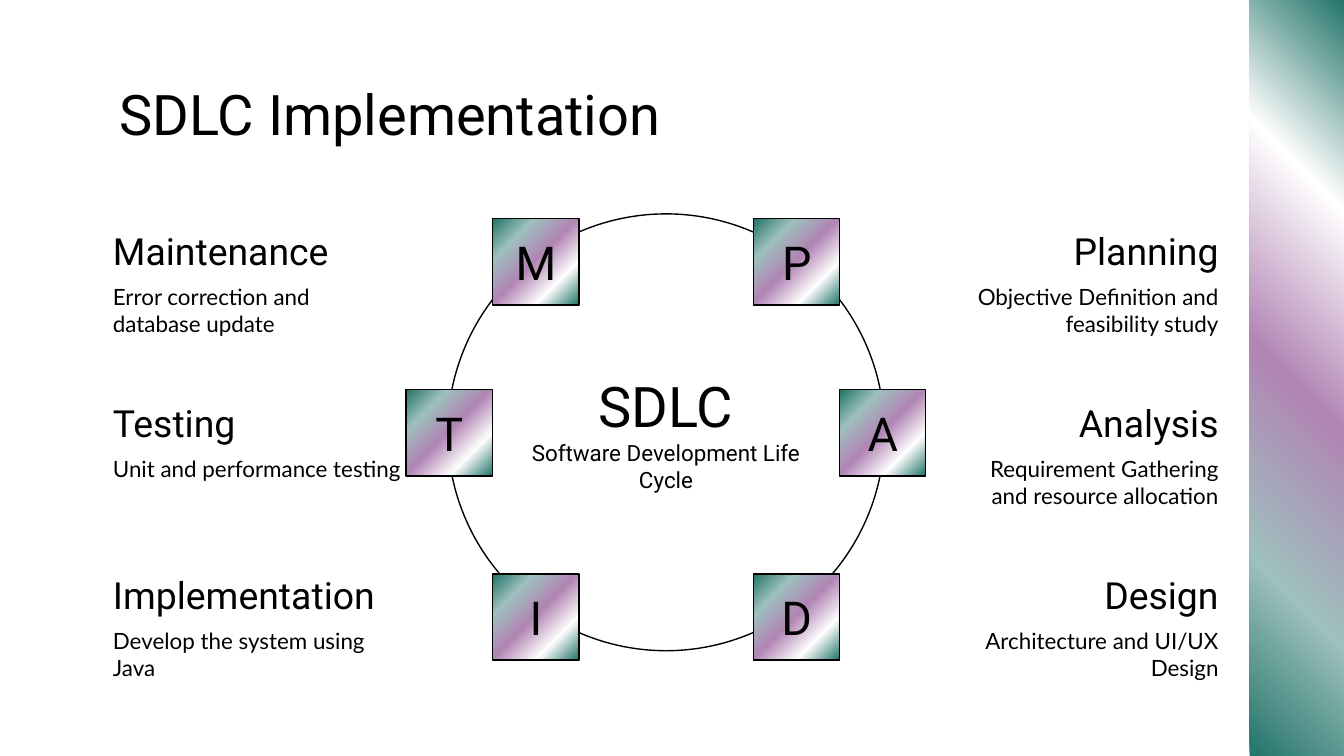
from lxml import etree
from pptx import Presentation
from pptx.dml.color import RGBColor
from pptx.enum import shapes, text
from pptx.oxml import ns
from pptx.util import Pt

BLACK = RGBColor(0x00, 0x00, 0x00)
WHITE = RGBColor(0xFF, 0xFF, 0xFF)
GREEN = RGBColor(0x20, 0x73, 0x68)
MINT = RGBColor(0x9E, 0xC0, 0xBE)
PURPLE = RGBColor(0xB1, 0x85, 0xB4)
GRADIENT = [(0, GREEN), (24, MINT), (49, PURPLE), (75, WHITE), (100, GREEN)]

LEFT, CENTER, RIGHT = text.PP_ALIGN.LEFT, text.PP_ALIGN.CENTER, text.PP_ALIGN.RIGHT
TOP, MIDDLE, BOTTOM = text.MSO_ANCHOR.TOP, text.MSO_ANCHOR.MIDDLE, text.MSO_ANCHOR.BOTTOM


def write(shape, *lines, font="Roboto", align=LEFT, anchor=TOP, inset=3.6):
    """Fill a shape with paragraphs, each given as (words, size)."""
    frame = shape.text_frame
    frame.word_wrap = True
    frame.auto_size = text.MSO_AUTO_SIZE.NONE
    frame.vertical_anchor = anchor
    frame.margin_left = frame.margin_right = Pt(7.2)
    frame.margin_top = frame.margin_bottom = Pt(inset)
    for index, (words, size) in enumerate(lines):
        para = frame.add_paragraph() if index else frame.paragraphs[0]
        para.alignment = align
        span = para.add_run()
        span.text = words
        span.font.name = font
        span.font.size = Pt(size)
        span.font.color.rgb = BLACK


def paint_gradient(shape):
    """Give a shape the diagonal five-stop gradient."""
    fill = etree.Element(ns.qn("a:gradFill"), rotWithShape="1")
    stops = etree.SubElement(fill, ns.qn("a:gsLst"))
    for position, color in GRADIENT:
        stop = etree.SubElement(stops, ns.qn("a:gs"), pos=str(position * 1000))
        etree.SubElement(stop, ns.qn("a:srgbClr"), val=str(color))
    etree.SubElement(fill, ns.qn("a:lin"), ang=str(45 * 60000), scaled="0")
    shape._element.spPr.find(ns.qn("a:prstGeom")).addnext(fill)


deck = Presentation()
deck.slide_width, deck.slide_height = Pt(720), Pt(405)
page = deck.slides.add_slide(deck.slide_layouts[5])

# Title
title = page.shapes.title
title.left, title.top, title.width, title.height = Pt(56.9), Pt(35.3), Pt(607), Pt(45.4)
write(title, ("SDLC Implementation", 30), inset=7.2)

# Side band, mirrored top to bottom
band = page.shapes.add_shape(
    shapes.MSO_SHAPE.RECTANGLE, Pt(669.4), Pt(-2), Pt(50.6), Pt(409))
band.shadow.inherit = False
band.line.fill.background()
paint_gradient(band)
band.rotation = 180
band._element.spPr.find(ns.qn("a:xfrm")).set("flipH", "1")

# Cycle ring
ring = page.shapes.add_shape(
    shapes.MSO_SHAPE.OVAL, Pt(239.8), Pt(114.6), Pt(234), Pt(234))
ring.shadow.inherit = False
ring.fill.solid()
ring.fill.fore_color.rgb = WHITE
ring.line.color.rgb = BLACK
ring.line.width = Pt(0.75)
write(ring, ("SDLC", 30), ("Software Development Life Cycle", 12),
      align=CENTER, anchor=MIDDLE)

# Phase letters on the ring
for letter, left, top in [
    ("I", 264, 307.5), ("T", 217.6, 208.8), ("A", 449.8, 208.8),
    ("M", 264, 117.2), ("D", 403.7, 307.5), ("P", 403.7, 117.2),
]:
    tile = page.shapes.add_shape(
        shapes.MSO_SHAPE.RECTANGLE, Pt(left), Pt(top), Pt(46.2), Pt(46.2))
    tile.shadow.inherit = False
    paint_gradient(tile)
    tile.line.color.rgb = BLACK
    tile.line.width = Pt(0.75)
    write(tile, (letter, 25), align=CENTER, anchor=MIDDLE)

# Phase captions: heading, detail and detail width, from top to bottom
LEFT_EDGE, RIGHT_EDGE, WIDTH = 53.4, 660, 169.2
FIRST_ROW, ROW_STEP, DETAIL_DROP = 118, 92.2, 30.2
captions = {
    LEFT: [
        ("Maintenance", "Error correction and database update", WIDTH),
        ("Testing", "Unit and performance testing", WIDTH),
        ("Implementation", "Develop the system using Java", WIDTH),
    ],
    RIGHT: [
        ("Planning", "Objective Definition and feasibility study", WIDTH),
        ("Analysis", "Requirement Gathering and resource allocation", 152),
        ("Design", "Architecture and UI/UX Design", WIDTH),
    ],
}
for align, phases in captions.items():
    for row, (heading, detail, detail_width) in enumerate(phases):
        top = FIRST_ROW + row * ROW_STEP
        for words, size, font, width, drop, height, anchor, inset in [
            (detail, 12, "Lato", detail_width, DETAIL_DROP, 41, TOP, 3.6),
            (heading, 20, "Roboto", WIDTH, 0, 35.3, BOTTOM, 7.2),
        ]:
            left = LEFT_EDGE if align == LEFT else RIGHT_EDGE - width
            box = page.shapes.add_textbox(Pt(left), Pt(top + drop), Pt(width), Pt(height))
            write(box, (words, size), font=font, align=align, anchor=anchor, inset=inset)

deck.save("out.pptx")
